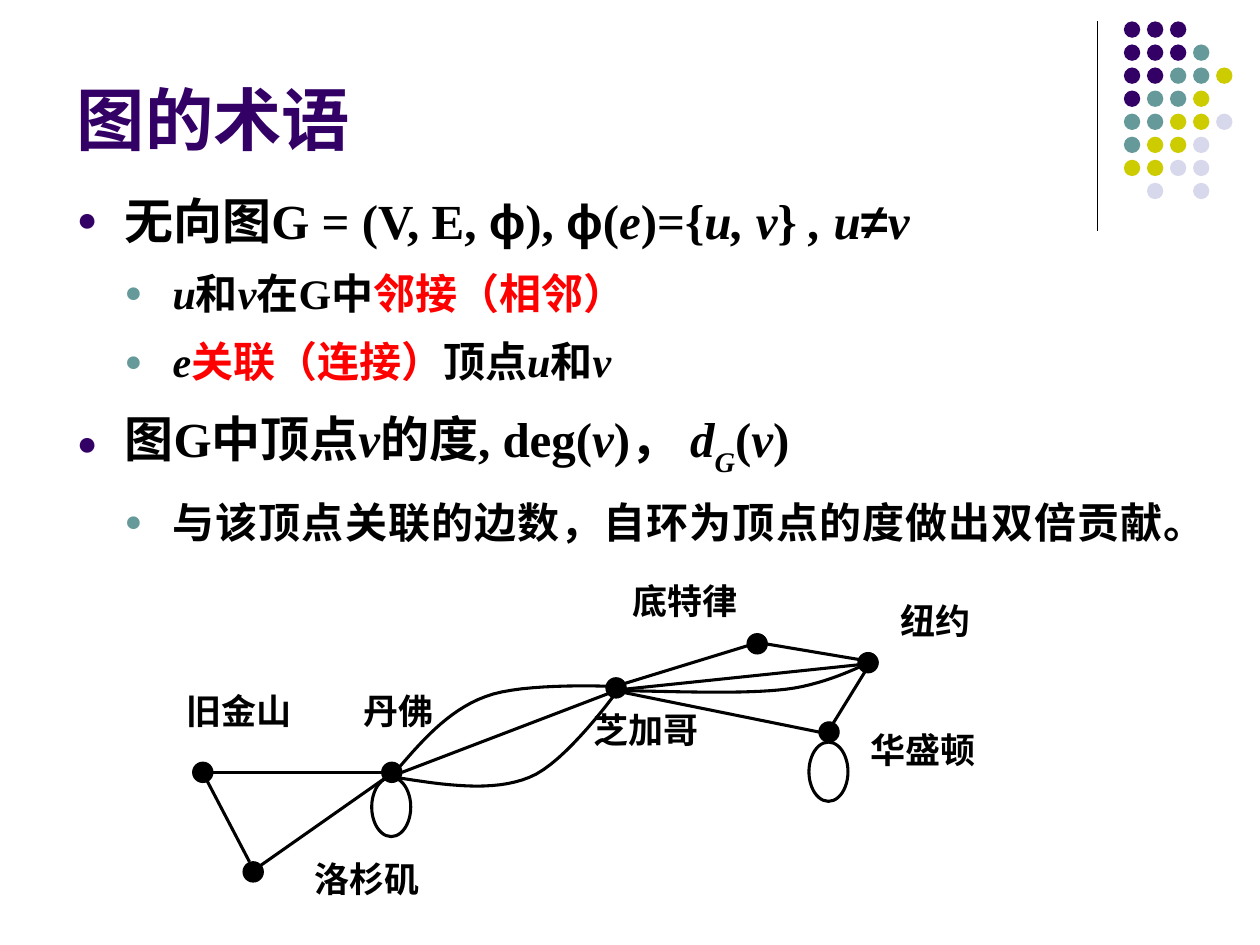
from dataclasses import dataclass
from typing import NamedTuple

from lxml import etree
from pptx import Presentation
from pptx import util as u
from pptx.dml import color
from pptx.enum import shapes, text
from pptx.oxml import ns

COLORS = {"ink": "000000", "purple": "330066", "teal": "669999",
          "olive": "CCCC00", "mist": "D8D8EC", "red": "FF0000"}
SERIF, SANS = "Times New Roman", "Arial"
EDGE_WIDTH = 1.75
NODE_SIZE = 0.16
DOT_SIZE, DOT_PITCH = 0.13, 0.183
DOT_ROWS = ["PPP", "PPPT", "PPTTO", "PTTO", "TTOOM", "TOOM", "OOMM", " M M"]
DOT_COLORS = {"P": "purple", "T": "teal", "O": "olive", "M": "mist"}


@dataclass
class Span:
    text: str
    italic: bool = False
    hue: str = "ink"
    font: str = SERIF
    subscript: bool = False


@dataclass
class Bullet:
    spans: list[Span]
    level: int = 0
    before: float = 6
    justified: bool = False


class City(NamedTuple):
    name: str
    node: tuple[float, float]
    label: tuple[float, float]


class Edge(NamedTuple):
    start: tuple[float, float]
    end: tuple[float, float]


BULLETS = [
    Bullet([Span("无向图G = (V, E, "), Span("ϕ", font=SANS), Span("), "),
            Span("ϕ", font=SANS), Span("("), Span("e", True), Span(")={"),
            Span("u, v", True), Span("}"), Span(" , u", True),
            Span("≠", font=SANS), Span("v", True)], before=35),
    Bullet([Span("u", True), Span("和"), Span("v", True), Span("在G中"),
            Span("邻接（相邻）", hue="red")], level=1),
    Bullet([Span("e", True), Span("关联（连接）", hue="red"), Span("顶点"),
            Span("u", True), Span("和"), Span("v", True)], level=1),
    Bullet([Span("图G中顶点"), Span("v", True), Span("的度, deg("),
            Span("v", True), Span(")， "), Span("d", True),
            Span("G", True, subscript=True), Span("("), Span("v", True),
            Span(")")], before=7, justified=True),
    Bullet([Span("与该顶点关联的边数，自环为顶点的度做出双倍贡献。", font=SANS)],
           level=1, justified=True),
]
CITIES = [
    City("旧金山", (1.53, 6.05), (1.38, 5.42)),
    City("洛杉矶", (1.93, 6.84), (2.4, 6.76)),
    City("丹佛", (3.03, 6.05), (2.79, 5.42)),
    City("芝加哥", (4.81, 5.38), (4.61, 5.57)),
    City("纽约", (6.81, 5.18), (7.05, 4.71)),
    City("底特律", (5.93, 5.03), (4.92, 4.55)),
    City("华盛顿", (6.5, 5.73), (6.81, 5.73)),
]
ROADS = [
    Edge((1.69, 6.13), (3.03, 6.13)), Edge((3.19, 6.13), (4.84, 5.5)),
    Edge((1.64, 6.19), (1.98, 6.84)), Edge((2.01, 6.91), (3.05, 6.18)),
    Edge((4.94, 5.43), (5.95, 5.12)), Edge((4.92, 5.49), (6.5, 5.81)),
    Edge((6.02, 5.1), (6.97, 5.26)), Edge((6.57, 5.81), (6.94, 5.21)),
    Edge((4.86, 5.48), (6.97, 5.26)),
]
CURVED_ROADS = [
    [(3.11, 6.16), (3.33, 5.9), (3.55, 5.64), (3.85, 5.53),
     (4.15, 5.41), (4.91, 5.45), (4.91, 5.45)],
    [(3.14, 6.17), (3.52, 6.23), (3.91, 6.29), (4.2, 6.17),
     (4.49, 6.06), (4.91, 5.47), (4.91, 5.47)],
    [(4.89, 5.48), (5.4, 5.49), (5.91, 5.51), (6.24, 5.47),
     (6.58, 5.43), (6.91, 5.25), (6.91, 5.25)],
]
SELF_LOOPS = [(2.95, 6.17), (6.42, 5.89)]


def rgb(hue: str) -> color.RGBColor:
    return color.RGBColor.from_string(COLORS[hue])


def write(paragraph, words: str, *, size: float, hue: str = "ink", font: str = SANS,
          italic: bool = False, subscript: bool = False) -> None:
    run = paragraph.add_run()
    run.text = words
    run.font.size, run.font.name = u.Pt(size), font
    run.font.bold, run.font.italic = True, italic
    run.font.color.rgb = rgb(hue)
    if subscript:
        run.font._element.set("baseline", "-30000")


def place(holder, left: float, top: float, width: float, height: float) -> None:
    holder.left, holder.top = u.Inches(left), u.Inches(top)
    holder.width, holder.height = u.Inches(width), u.Inches(height)


def outline(shape, width: float) -> None:
    shape.line.color.rgb = rgb("ink")
    shape.line.width = u.Pt(width)


def draw_shape(slide, kind, left: float, top: float, width: float, height: float,
               fill: str | None = None, line: float | None = None):
    shape = slide.shapes.add_shape(
        kind, u.Inches(left), u.Inches(top), u.Inches(width), u.Inches(height))
    shape.shadow.inherit = False
    if fill:
        shape.fill.solid()
        shape.fill.fore_color.rgb = rgb(fill)
    else:
        shape.fill.background()
    if line:
        outline(shape, line)
    else:
        shape.line.fill.background()
    return shape


def draw_line(slide, edge: Edge, width: float = EDGE_WIDTH) -> None:
    ends = [u.Inches(value) for point in edge for value in point]
    line = slide.shapes.add_connector(shapes.MSO_CONNECTOR.STRAIGHT, *ends)
    outline(line, width)
    etree.SubElement(line._element.spPr, ns.qn("a:effectLst"))


def draw_curve(slide, controls: list[tuple[float, float]], steps: int = 16) -> None:
    points = [controls[0]]
    for first in range(0, len(controls) - 1, 3):
        piece = controls[first:first + 4]
        for step in range(1, steps + 1):
            t = step / steps
            weights = ((1 - t) ** 3, 3 * t * (1 - t) ** 2, 3 * t * t * (1 - t), t ** 3)
            points.append(tuple(sum(w * p[axis] for w, p in zip(weights, piece))
                                for axis in (0, 1)))
    start, *rest = [(u.Inches(x), u.Inches(y)) for x, y in points]
    builder = slide.shapes.build_freeform(*start)
    builder.add_line_segments(rest, close=False)
    curve = builder.convert_to_shape()
    curve.shadow.inherit = False
    curve.fill.background()
    outline(curve, EDGE_WIDTH)


def draw_label(slide, city: City) -> None:
    label = draw_shape(slide, shapes.MSO_SHAPE.RECTANGULAR_CALLOUT, *city.label, 1.1, 0.55)
    label.adjustments[0], label.adjustments[1] = -0.208, 0.625
    frame = label.text_frame
    frame.word_wrap = False
    frame.vertical_anchor = text.MSO_ANCHOR.TOP
    frame.paragraphs[0].alignment = text.PP_ALIGN.LEFT
    write(frame.paragraphs[0], city.name, size=20)


def add_bullet(paragraph, bullet: Bullet) -> None:
    paragraph.level = bullet.level
    paragraph.alignment = text.PP_ALIGN.JUSTIFY if bullet.justified else text.PP_ALIGN.LEFT
    paragraph.line_spacing = 1.15
    paragraph.space_before = u.Pt(bullet.before)
    props = paragraph._p.get_or_add_pPr()
    props.set("marL", str(u.Inches(0.38 * (bullet.level + 1))))
    props.set("indent", str(u.Inches(-0.38)))
    mark = etree.SubElement(props, ns.qn("a:buClr"))
    etree.SubElement(mark, ns.qn("a:srgbClr"), val=COLORS[("purple", "teal")[bullet.level]])
    etree.SubElement(props, ns.qn("a:buSzPct"), val="70000")
    etree.SubElement(props, ns.qn("a:buFont"), typeface=SANS)
    etree.SubElement(props, ns.qn("a:buChar"), char="●")
    for span in bullet.spans:
        write(paragraph, span.text, size=(28, 24)[bullet.level], hue=span.hue,
              font=span.font, italic=span.italic, subscript=span.subscript)


def main() -> None:
    deck = Presentation()
    deck.slide_width, deck.slide_height = u.Inches(10), u.Inches(7.5)
    slide = deck.slides.add_slide(deck.slide_layouts[1])

    draw_line(slide, Edge((8.71, 0.17), (8.71, 1.83)), 0.75)
    for row, dots in enumerate(DOT_ROWS):
        for column, dot in enumerate(dots):
            if dot in DOT_COLORS:
                draw_shape(slide, shapes.MSO_SHAPE.OVAL, 8.92 + column * DOT_PITCH,
                           0.17 + row * DOT_PITCH, DOT_SIZE, DOT_SIZE, DOT_COLORS[dot])

    heading, terms = slide.shapes.title, slide.placeholders[1]
    place(heading, 0.51, 0.36, 8.25, 0.95)
    place(terms, 0.51, 1.39, 8.83, 2.99)
    for holder in (heading, terms):
        holder.text_frame.auto_size = text.MSO_AUTO_SIZE.NONE
    heading.text_frame.vertical_anchor = text.MSO_ANCHOR.BOTTOM
    heading.text_frame.paragraphs[0].alignment = text.PP_ALIGN.LEFT
    write(heading.text_frame.paragraphs[0], "图的术语", size=39, hue="purple")
    for index, bullet in enumerate(BULLETS):
        frame = terms.text_frame
        add_bullet(frame.add_paragraph() if index else frame.paragraphs[0], bullet)

    for city in CITIES:
        draw_shape(slide, shapes.MSO_SHAPE.FLOWCHART_CONNECTOR, *city.node,
                   NODE_SIZE, NODE_SIZE, "ink", 0.75)
        draw_label(slide, city)
    for road in ROADS:
        draw_line(slide, road)
    for controls in CURVED_ROADS:
        draw_curve(slide, controls)
    for corner in SELF_LOOPS:
        draw_shape(slide, shapes.MSO_SHAPE.OVAL, *corner, 0.31, 0.47, line=EDGE_WIDTH)
    deck.save("out.pptx")


if __name__ == "__main__":
    main()
